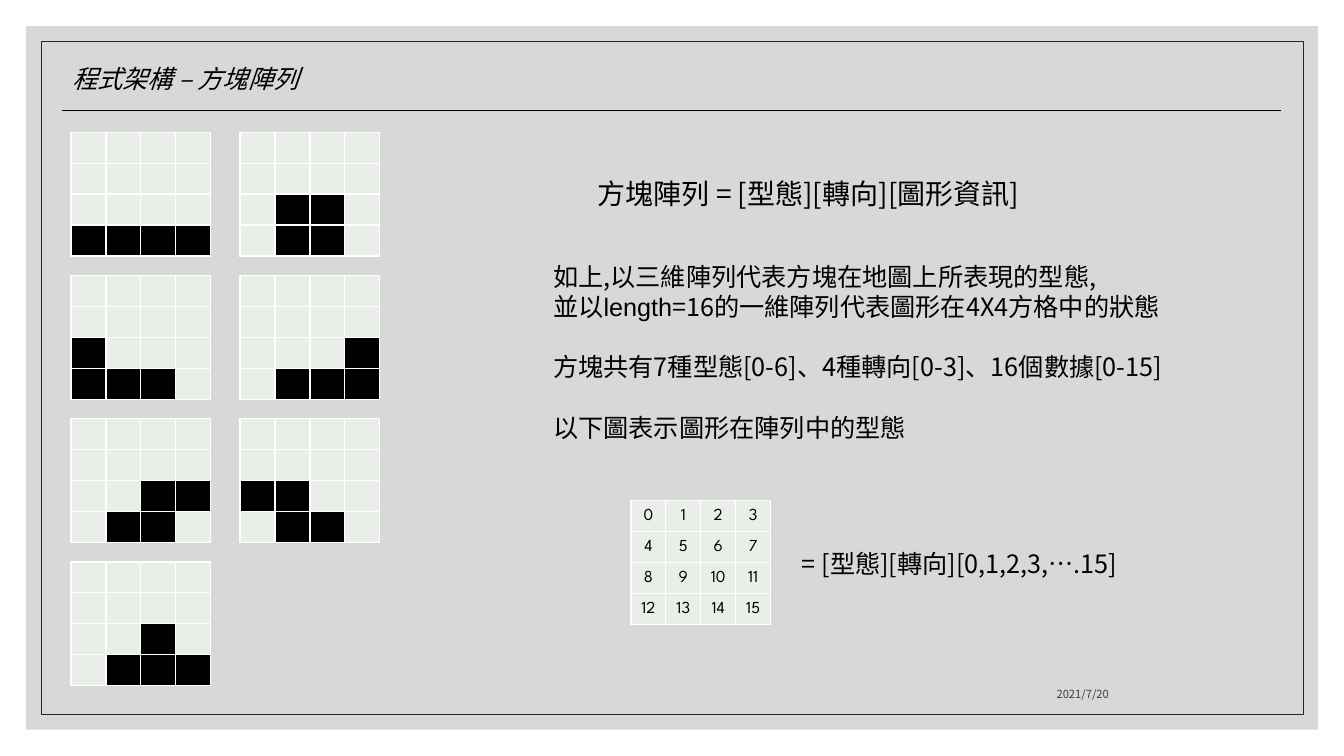
"""Build the slide that explains the block array of a falling-block game."""
from lxml.etree import SubElement
from pptx import Presentation
from pptx.dml.color import RGBColor
from pptx.enum.shapes import MSO_CONNECTOR, MSO_SHAPE
from pptx.enum.text import MSO_ANCHOR as Anchor, PP_ALIGN as Align
from pptx.oxml.ns import qn
from pptx.util import Cm, Pt

BLACK = RGBColor(0x00, 0x00, 0x00)
WHITE = RGBColor(0xFF, 0xFF, 0xFF)
PANEL = RGBColor(0xBF, 0xBF, 0xBF)
FRAME = RGBColor(0x26, 0x26, 0x26)
DATE = RGBColor(0x40, 0x40, 0x40)
EMPTY = RGBColor(0xEA, 0xEE, 0xE8)

SANS, SANS_TC, LATIN, NUMERALS = "Noto Sans CJK SC", "Noto Sans CJK TC", "Arial", "League Spartan"
SIDE = 4
CELL_W, CELL_H = 0.88, 0.78
PIECES_LEFT, PIECES_TOP = 1.79, 3.33
PIECE_PITCH_X, PIECE_PITCH_Y = 4.26, 3.61
INDEX_AT = (15.9, 12.62)

PIECES = [
    ("....", "....", "....", "####"),
    ("....", "....", ".##.", ".##."),
    ("....", "....", "#...", "###."),
    ("....", "....", "...#", ".###"),
    ("....", "....", "..##", ".##."),
    ("....", "....", "##..", ".##."),
    ("....", "....", "..#.", ".###"),
]

EXPLANATION = [
    (0, [("如上,以三維陣列代表方塊在地圖上所表現的型態,", SANS)]),
    (0, [("並以", SANS), ("length", LATIN), ("=16的一維陣列代表圖形在4X4方格中的狀態", SANS)]),
    (21.6, [("方塊共有7種型態[0-6]、4種轉向[0-3]、16個數據[0-15]", SANS)]),
    (21.6, [("以下圖表示圖形在陣列中的型態", SANS)]),
]

TEXTS = [
    ((1.57, 1.47, 7.04, 1.02), 18, [(0, [("程式架構 – 方塊陣列", SANS)])],
     {"italic": True}),
    ((13.69, 6.45, 16.97, 5.64), 18, EXPLANATION, {}),
    ((14.81, 4.32, 11.76, 1.12), 20, [(0, [("方塊陣列 = [型態][轉向][圖形資訊]", SANS)])], {}),
    ((19.96, 13.69, 9.75, 1.02), 18, [(0, [("= [型態][轉向][0,1,2,3,….15]", SANS)])], {}),
    ((20.17, 16.76, 8.03, 1.02), 8, [(0, [("2021/7/20", SANS_TC)])],
     {"color": DATE, "align": Align.RIGHT, "anchor": Anchor.BOTTOM}),
]


def style_run(run, size, face, color=BLACK, italic=False):
    run.font.size = Pt(size)
    run.font.name = face
    run.font.italic = italic
    run.font.color.rgb = color
    SubElement(run.font._element, qn("a:ea"), typeface=face)


def add_text(slide, box, size, paragraphs, color=BLACK, italic=False,
             align=Align.LEFT, anchor=Anchor.TOP):
    frame = slide.shapes.add_textbox(*map(Cm, box)).text_frame
    frame.word_wrap = True
    frame.vertical_anchor = anchor
    for number, (gap, pieces) in enumerate(paragraphs):
        paragraph = frame.add_paragraph() if number else frame.paragraphs[0]
        paragraph.alignment = align
        paragraph.space_before = Pt(gap)
        paragraph.line_spacing = Pt(size * 1.2)
        for words, face in pieces:
            run = paragraph.add_run()
            run.text = words
            style_run(run, size, face, color, italic)


def add_borders(cell):
    properties = cell._tc.get_or_add_tcPr()
    for place, side in enumerate(("a:lnL", "a:lnR", "a:lnT", "a:lnB")):
        border = SubElement(properties, qn(side), w="12700")
        fill = SubElement(border, qn("a:solidFill"))
        SubElement(fill, qn("a:srgbClr"), val=str(WHITE))
        properties.insert(place, border)


def add_grid(slide, left, top, piece=None):
    table = slide.shapes.add_table(SIDE, SIDE, Cm(left), Cm(top),
                                   Cm(SIDE * CELL_W), Cm(SIDE * CELL_H)).table
    table.first_row = table.horz_banding = False
    for line in table.columns:
        line.width = Cm(CELL_W)
    for line in table.rows:
        line.height = Cm(CELL_H)
    for index, cell in enumerate(table.iter_cells()):
        row, column = divmod(index, SIDE)
        filled = piece is not None and piece[row][column] == "#"
        cell.fill.solid()
        cell.fill.fore_color.rgb = BLACK if filled else EMPTY
        cell.margin_left = cell.margin_right = cell.margin_top = Cm(0.02)
        cell.margin_bottom = 0
        cell.vertical_anchor = Anchor.MIDDLE
        add_borders(cell)
        paragraph = cell.text_frame.paragraphs[0]
        if piece is None:
            paragraph.text = str(index)
            paragraph.alignment = Align.CENTER
            style_run(paragraph.runs[0], 12, NUMERALS)
        else:
            SubElement(paragraph._p, qn("a:endParaRPr"), sz="1200")


def add_backdrop(slide):
    panel = slide.shapes.add_shape(MSO_SHAPE.RECTANGLE, Cm(0.66), Cm(0.66), Cm(32.56), Cm(17.73))
    panel.shadow.inherit = False
    panel.fill.solid()
    panel.fill.fore_color.rgb = PANEL
    SubElement(panel.fill._xPr.find(qn("a:solidFill"))[0], qn("a:alpha"), val="60000")
    panel.line.fill.background()

    frame = slide.shapes.add_shape(MSO_SHAPE.RECTANGLE, Cm(1.04), Cm(1.04), Cm(31.8), Cm(16.97))
    frame.shadow.inherit = False
    frame.fill.background()
    frame.line.color.rgb = FRAME
    frame.line.width = Pt(0.5)

    rule = slide.shapes.add_connector(MSO_CONNECTOR.STRAIGHT, Cm(1.57), Cm(2.79), Cm(32.28), Cm(2.79))
    rule.line.color.rgb = BLACK
    rule.line.width = Pt(1)
    SubElement(rule._element.spPr, qn("a:effectLst"))


def main():
    deck = Presentation()
    deck.slide_width, deck.slide_height = Cm(33.87), Cm(19.05)
    slide = deck.slides.add_slide(deck.slide_layouts[6])
    add_backdrop(slide)
    for number, piece in enumerate(PIECES):
        row, column = divmod(number, 2)
        add_grid(slide, PIECES_LEFT + column * PIECE_PITCH_X,
                 PIECES_TOP + row * PIECE_PITCH_Y, piece)
    add_grid(slide, *INDEX_AT)
    for box, size, paragraphs, look in TEXTS:
        add_text(slide, box, size, paragraphs, **look)
    deck.save("out.pptx")


if __name__ == "__main__":
    main()
